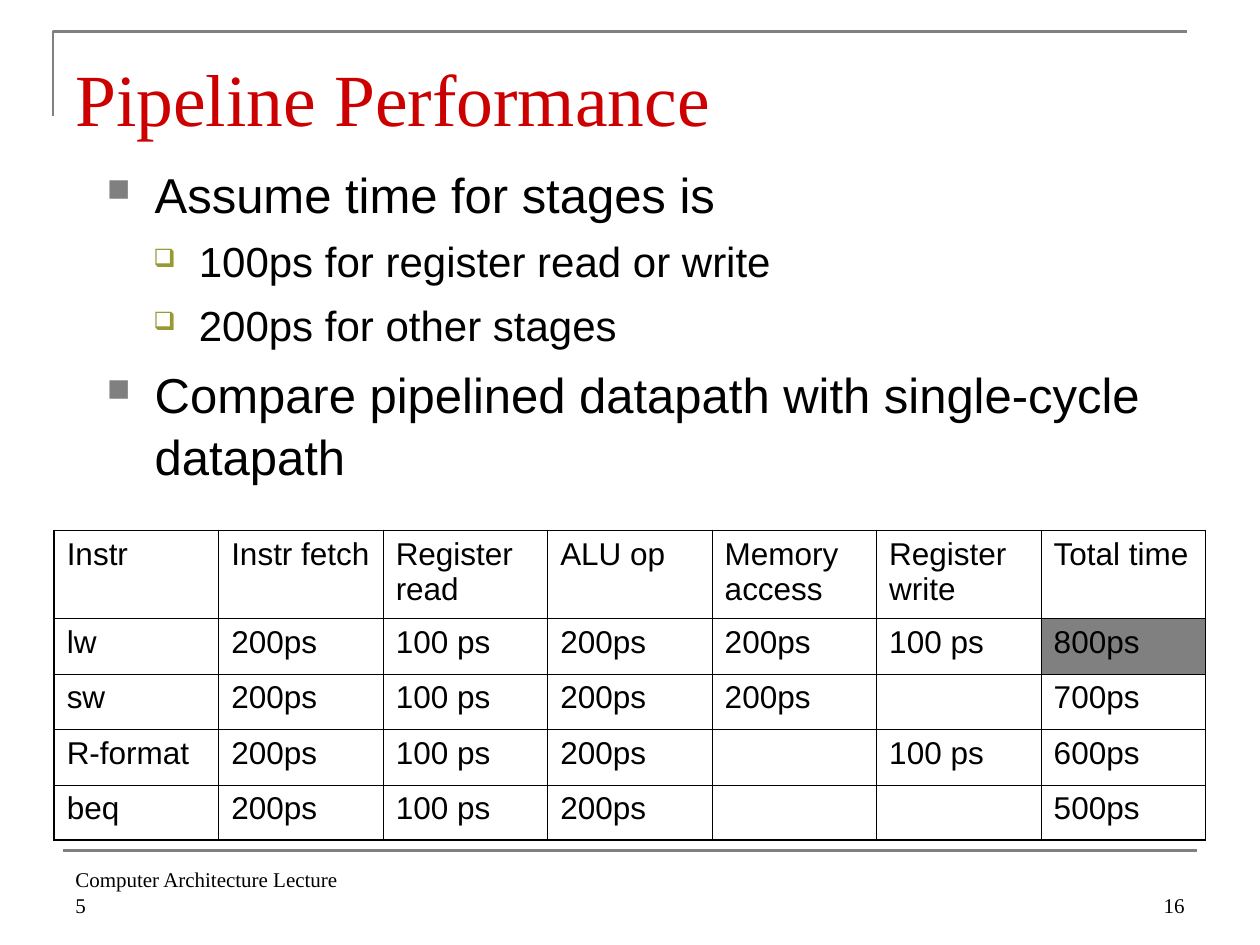
from lxml.etree import SubElement
from pptx import Presentation
from pptx.dml.color import RGBColor
from pptx.enum.shapes import MSO_CONNECTOR
from pptx.enum.text import MSO_ANCHOR, PP_ALIGN
from pptx.oxml import parse_xml
from pptx.oxml.ns import nsdecls, qn
from pptx.util import Inches, Pt

BLACK = RGBColor(0x00, 0x00, 0x00)
GRAY = RGBColor(0x80, 0x80, 0x80)
RED = RGBColor(0xCC, 0x00, 0x00)
OLIVE = RGBColor(0x99, 0x99, 0x33)
SERIF, SANS = "Times New Roman", "Arial"
COLS, ROWS = 100, 75
LEVELS = [
    dict(size=28, mark="■", color=GRAY, share=65, left=0.38, hang=0.38, gap=7),
    dict(size=24, mark="❑", color=OLIVE, share=60, left=0.73, hang=0.36, gap=6),
]
POINTS = [
    (0, "Assume time for stages is"),
    (1, "100ps for register read or write"),
    (1, "200ps for other stages"),
    (0, "Compare pipelined datapath with single-cycle datapath"),
]
TIMES = [
    ["Instr", "Instr fetch", "Register read", "ALU op", "Memory access", "Register write", "Total time"],
    ["lw", "200ps", "100 ps", "200ps", "200ps", "100 ps", "800ps"],
    ["sw", "200ps", "100 ps", "200ps", "200ps", "", "700ps"],
    ["R-format", "200ps", "100 ps", "200ps", "", "100 ps", "600ps"],
    ["beq", "200ps", "100 ps", "200ps", "", "", "500ps"],
]
OUTER, HEAD, INNER = 1.08, 0.75, 0.45


class Deck:
    def __init__(self):
        self.prs = Presentation()
        self.prs.slide_width = Inches(10)
        self.prs.slide_height = Inches(7.5)
        self.slide = self.prs.slides.add_slide(self.prs.slide_layouts[6])
        self.shapes = self.slide.shapes

    def x(self, col):
        return round(self.prs.slide_width * col / COLS)

    def y(self, row):
        return round(self.prs.slide_height * row / ROWS)

    def area(self, col, row, wide, high):
        return self.x(col), self.y(row), self.x(wide), self.y(high)

    def font(self, para, size, face, color=BLACK):
        for run in para.runs:
            run.font.size = Pt(size)
            run.font.name = face
            run.font.color.rgb = color

    def stroke(self, shape):
        shape.line.color.rgb = GRAY
        shape.line.width = Pt(1.5)

    def corner(self, points):
        spots = [(self.x(col), self.y(row)) for col, row in points]
        path = self.shapes.build_freeform(*spots[0])
        path.add_line_segments(spots[1:], close=False)
        shape = path.convert_to_shape()
        shape.shadow.inherit = False
        shape.fill.background()
        self.stroke(shape)

    def rule(self, start, end, row):
        line = self.shapes.add_connector(
            MSO_CONNECTOR.STRAIGHT, self.x(start), self.y(row), self.x(end), self.y(row))
        self.stroke(line)
        SubElement(line._element.spPr, qn("a:effectLst"))

    def frame(self, area, anchor=MSO_ANCHOR.TOP):
        frame = self.shapes.add_textbox(*self.area(*area)).text_frame
        frame.word_wrap = True
        frame.vertical_anchor = anchor
        return frame

    def label(self, text, area, size, color=BLACK, anchor=MSO_ANCHOR.BOTTOM, align=PP_ALIGN.LEFT):
        frame = self.frame(area, anchor)
        frame.text = text
        para = frame.paragraphs[0]
        para.alignment = align
        self.font(para, size, SERIF, color)
        return frame

    def bullet(self, para, style):
        props = para._p.get_or_add_pPr()
        props.set("marL", str(Inches(style["left"])))
        props.set("indent", str(-Inches(style["hang"])))
        color = SubElement(props, qn("a:buClr"))
        SubElement(color, qn("a:srgbClr")).set("val", str(style["color"]))
        SubElement(props, qn("a:buSzPct")).set("val", str(style["share"] * 1000))
        SubElement(props, qn("a:buChar")).set("char", style["mark"])

    def points(self, items, area):
        frame = self.frame(area)
        for index, (level, text) in enumerate(items):
            para = frame.add_paragraph() if index else frame.paragraphs[0]
            style = LEVELS[level]
            para.text = text
            para.level = level
            self.bullet(para, style)
            para.line_spacing = 1.05
            para.space_before = Pt(style["gap"] if index else 0)
            self.font(para, style["size"], SANS)

    def border(self, cell, widths):
        props = cell._tc.get_or_add_tcPr()
        for index, (side, width) in enumerate(zip("LRTB", widths)):
            props.insert(index, parse_xml(
                f'<a:ln{side} {nsdecls("a")} w="{Pt(width)}"><a:solidFill>'
                f'<a:srgbClr val="{BLACK}"/></a:solidFill></a:ln{side}>'))

    def table(self, data, area, highs, dark):
        rows, cols = len(data), len(data[0])
        table = self.shapes.add_table(rows, cols, *self.area(*area)).table
        table.first_row = table.horz_banding = False
        edges = [OUTER, HEAD] + [INNER] * (rows - 2) + [OUTER]
        sides = [OUTER] + [INNER] * (cols - 1) + [OUTER]
        for r, line in enumerate(data):
            table.rows[r].height = self.y(highs[r])
            for c, text in enumerate(line):
                cell = table.cell(r, c)
                cell.text = text
                self.font(cell.text_frame.paragraphs[0], 18, SANS)
                if (r, c) == dark:
                    cell.fill.solid()
                    cell.fill.fore_color.rgb = GRAY
                else:
                    cell.fill.background()
                self.border(cell, sides[c:c + 2] + edges[r:r + 2])


def main():
    deck = Deck()
    deck.corner([(4.2, 9.2), (4.2, 2.5), (94.2, 2.5)])
    deck.rule(5, 95, 67.5)
    deck.label("Computer Architecture Lecture 5", (5, 68.3, 23.3, 5), 12)
    title = deck.label("Pipeline Performance", (5, 3, 90, 7.8), 42, RED, MSO_ANCHOR.TOP)
    title.margin_top = Inches(0.12)
    title.margin_bottom = 0
    deck.points(POINTS, (7.5, 12.3, 90.4, 27.7))
    deck.table(TIMES, (4.3, 42.1, 91.4, 24.6), [7] + [4.4] * 4, (1, 6))
    deck.label("16", (71.7, 68.3, 23.3, 5), 12, align=PP_ALIGN.RIGHT)
    deck.prs.save("out.pptx")


if __name__ == "__main__":
    main()
